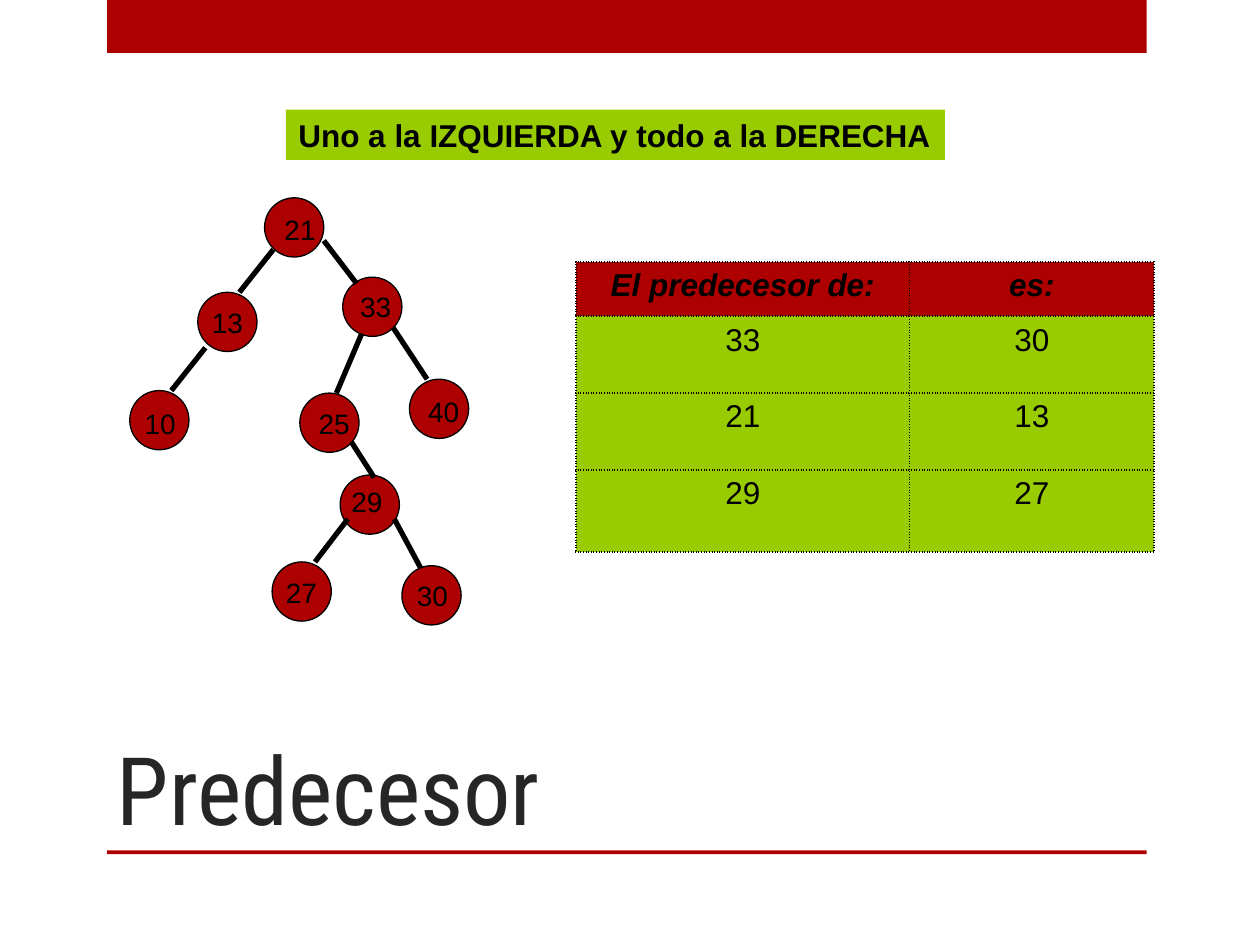
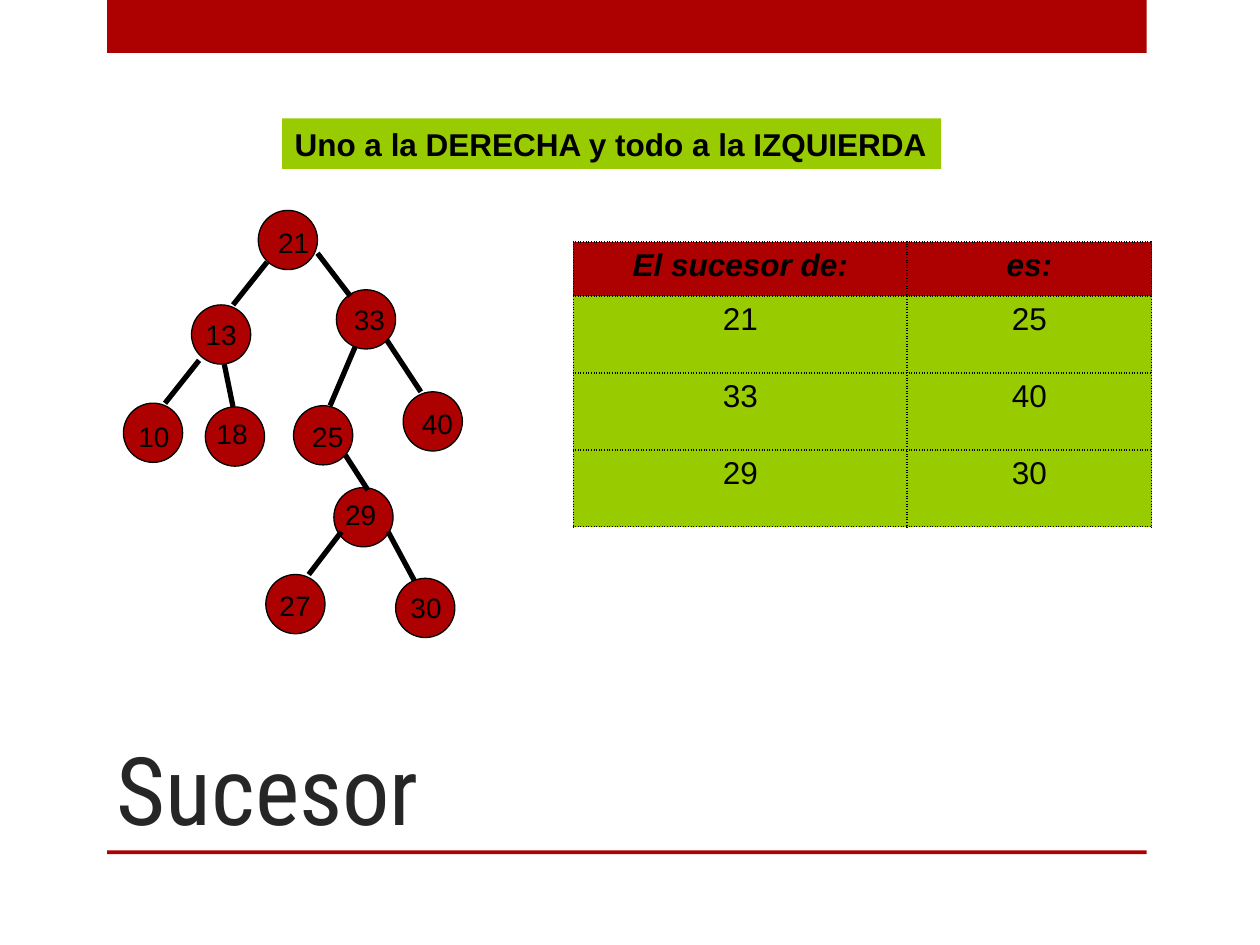
import pptx
import pptx.util
import pptx.dml.color
import pptx.enum.shapes
import pptx.enum.text
import pptx.oxml.ns
from lxml import etree

Inches, Pt = pptx.util.Inches, pptx.util.Pt
SHAPE = pptx.enum.shapes.MSO_SHAPE
ALIGN = pptx.enum.text.PP_ALIGN
ANCHOR = pptx.enum.text.MSO_ANCHOR
qn = pptx.oxml.ns.qn

COLORS = {"red": "AD0101", "green": "99CC00", "ink": "000000", "title": "262626"}
BODY_FONT, TITLE_FONT = "Arial", "Roboto Condensed"
NODE = 0.47

# Node value: (left, top) of its circle, then (left, top, width) of its label
NODES = {
    21: ((2.1, 1.57), (2.16, 1.64, 0.47)),
    13: ((1.57, 2.32), None),
    33: ((2.72, 2.2), (2.76, 2.25, 0.6)),
    10: ((1.03, 3.1), (1.05, 3.18, 0.54)),
    18: ((1.68, 3.13), (1.67, 3.16, 0.54)),
    25: ((2.38, 3.12), (2.43, 3.18, 0.54)),
    40: ((3.25, 3.01), (3.3, 3.08, 0.47)),
    29: ((2.7, 3.77), (2.69, 3.8, 0.54)),
    27: ((2.16, 4.46), (2.17, 4.52, 0.54)),
    30: ((3.19, 4.49), (3.21, 4.54, 0.54)),
}
# Child value: branch from its parent, x1, y1, x2, y2
BRANCHES = {
    13: (2.17, 1.98, 1.9, 2.32),
    10: (1.63, 2.76, 1.36, 3.1),
    33: (2.57, 1.91, 2.83, 2.25),
    40: (3.12, 2.6, 3.39, 3.01),
    18: (1.83, 2.79, 1.9, 3.13),
    25: (2.87, 2.65, 2.67, 3.12),
    29: (2.79, 3.51, 2.97, 3.79),
    27: (2.76, 4.12, 2.5, 4.46),
    30: (3.13, 4.12, 3.34, 4.51),
}


def rgb(name):
    return pptx.dml.color.RGBColor.from_string(COLORS[name])


def add_run(p, text, size, font=BODY_FONT, color="ink", bold=False, italic=False):
    r = p.add_run()
    r.text = text
    r.font.size = Pt(size)
    r.font.name = font
    r.font.bold, r.font.italic = bold, italic
    r.font.color.rgb = rgb(color)


def add_shape(s, kind, x, y, w, h, fill, outlined=False):
    sp = s.shapes.add_shape(kind, Inches(x), Inches(y), Inches(w), Inches(h))
    sp.shadow.inherit = False
    sp.fill.solid()
    sp.fill.fore_color.rgb = rgb(fill)
    if outlined:
        sp.line.color.rgb = rgb("ink")
        sp.line.width = Pt(0.75)
    else:
        sp.line.fill.background()
    return sp


def add_text(s, x, y, w, h, text, size, anchor=ANCHOR.TOP, **style):
    tf = s.shapes.add_textbox(Inches(x), Inches(y), Inches(w), Inches(h)).text_frame
    tf.word_wrap = True
    tf.vertical_anchor = anchor
    add_run(tf.paragraphs[0], text, size, **style)


def add_branch(s, x1, y1, x2, y2):
    line = s.shapes.add_connector(pptx.enum.shapes.MSO_CONNECTOR.STRAIGHT,
                                  Inches(x1), Inches(y1), Inches(x2), Inches(y2))
    line.line.color.rgb = rgb("ink")
    line.line.width = Pt(3)
    etree.SubElement(line._element.spPr, qn("a:effectLst"))


def add_tree(s, values, dx, dy):
    for value in values:
        (x, y), label = NODES[value]
        sp = add_shape(s, SHAPE.OVAL, x + dx, y + dy, NODE, NODE, "red", outlined=True)
        if label is None:  # this node carries its own text
            tf = sp.text_frame
            tf.word_wrap = False
            tf.vertical_anchor = ANCHOR.MIDDLE
            tf.paragraphs[0].alignment = ALIGN.CENTER
            add_run(tf.paragraphs[0], str(value), 16)
    for value in values:
        if value in BRANCHES:
            x1, y1, x2, y2 = BRANCHES[value]
            add_branch(s, x1 + dx, y1 + dy, x2 + dx, y2 + dy)
    for value in values:
        label = NODES[value][1]
        if label:
            x, y, w = label
            add_text(s, x + dx, y + dy, w, 0.37, str(value), 16)


def set_dotted_borders(cell):
    tcPr = cell._tc.get_or_add_tcPr()
    for side in ("lnL", "lnR", "lnT", "lnB"):
        ln = etree.SubElement(tcPr, qn("a:" + side), w=str(Pt(1)))
        fill = etree.SubElement(ln, qn("a:solidFill"))
        etree.SubElement(fill, qn("a:srgbClr"), val=COLORS["ink"])
        etree.SubElement(ln, qn("a:prstDash"), val="sysDot")


def add_answers(s, x, y, rows, heights):
    widths = (2.65, 1.94)
    table = s.shapes.add_table(len(rows), len(widths), Inches(x), Inches(y),
                               Inches(sum(widths)), Inches(sum(heights))).table
    table.first_row = table.horz_banding = False
    for column, width in zip(table.columns, widths):
        column.width = Inches(width)
    for i, (row, height) in enumerate(zip(rows, heights)):
        table.rows[i].height = Inches(height)
        header = i == 0
        for j, text in enumerate(row):
            cell = table.cell(i, j)
            set_dotted_borders(cell)
            cell.fill.solid()
            cell.fill.fore_color.rgb = rgb("red" if header else "green")
            p = cell.text_frame.paragraphs[0]
            p.alignment = ALIGN.CENTER
            add_run(p, text, 18, bold=header, italic=header)


def add_rule(s, x, y, text):
    tf = add_shape(s, SHAPE.RECTANGLE, x, y, 5.23, 0.4, "green").text_frame
    tf.word_wrap = False
    tf.vertical_anchor = ANCHOR.TOP
    tf.paragraphs[0].alignment = ALIGN.LEFT
    add_run(tf.paragraphs[0], text, 18, bold=True)


def new_slide(prs, title):
    s = prs.slides.add_slide(prs.slide_layouts[6])
    for y, h in ((0, 0.42), (6.75, 0.03)):
        add_shape(s, SHAPE.RECTANGLE, 0.85, y, 8.25, h, "red")
    add_text(s, 0.83, 5, 7.42, 1.75, title, 54, ANCHOR.BOTTOM,
             font=TITLE_FONT, color="title")
    return s


def main():
    prs = pptx.Presentation()
    prs.slide_width, prs.slide_height = Inches(10), Inches(7.5)

    # Predecessor
    s = new_slide(prs, "Predecesor")
    add_tree(s, [value for value in NODES if value != 18], 0, 0)
    add_answers(s, 4.57, 2.08,
                [("El predecesor de:", "es:"), ("33", "30"), ("21", "13"), ("29", "27")],
                (0.43, 0.61, 0.61, 0.65))
    add_rule(s, 2.27, 0.87, "Uno a la IZQUIERDA y todo a la DERECHA")

    # Successor: the same tree with node 18 added
    s = new_slide(prs, "Sucesor")
    add_tree(s, list(NODES), -0.05, 0.1)
    add_answers(s, 4.55, 1.92,
                [("El sucesor de:", "es:"), ("21", "25"), ("33", "40"), ("29", "30")],
                (0.43, 0.61, 0.61, 0.61))
    add_rule(s, 2.24, 0.94, "Uno a la DERECHA y todo a la IZQUIERDA")

    prs.save("out.pptx")


main()
